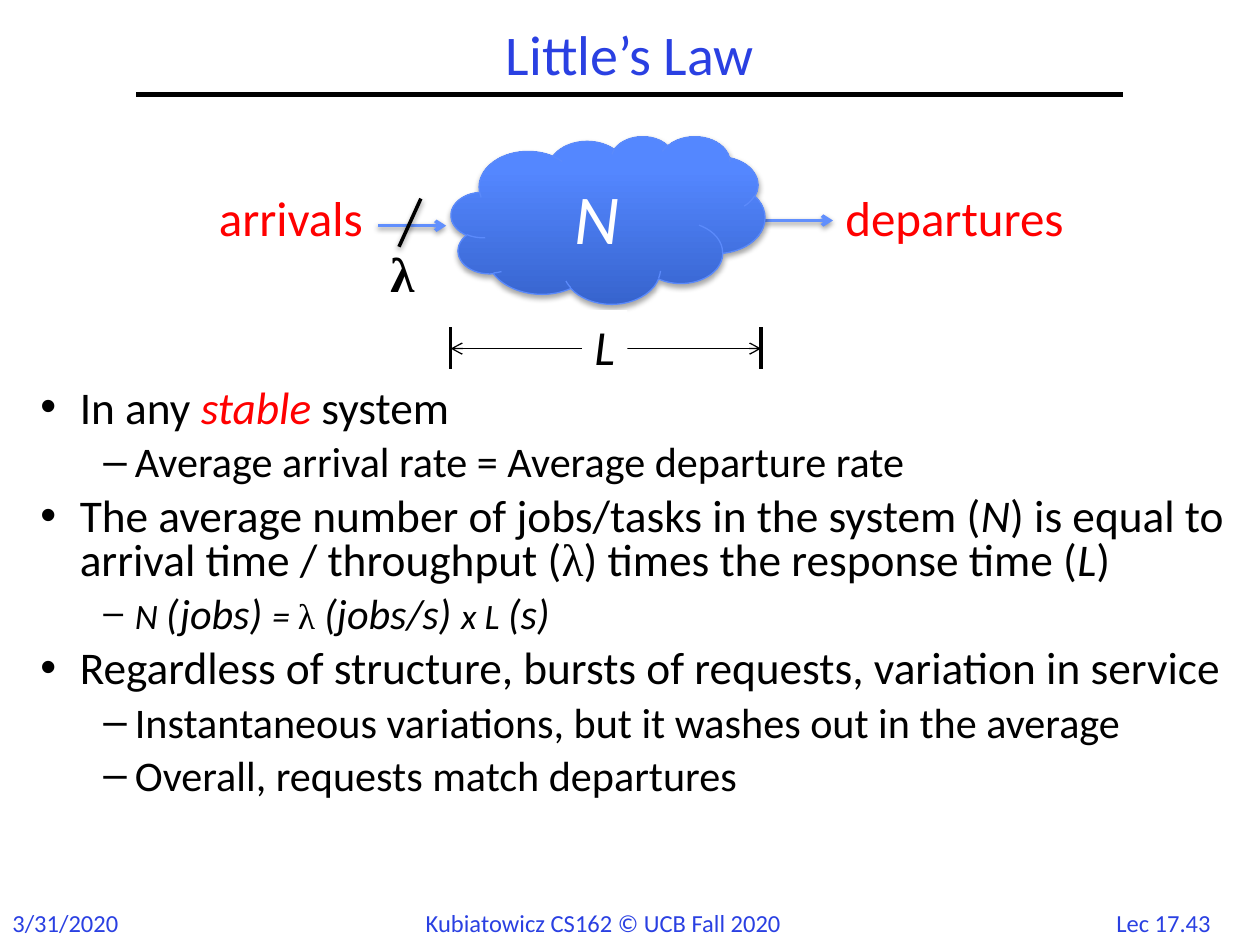
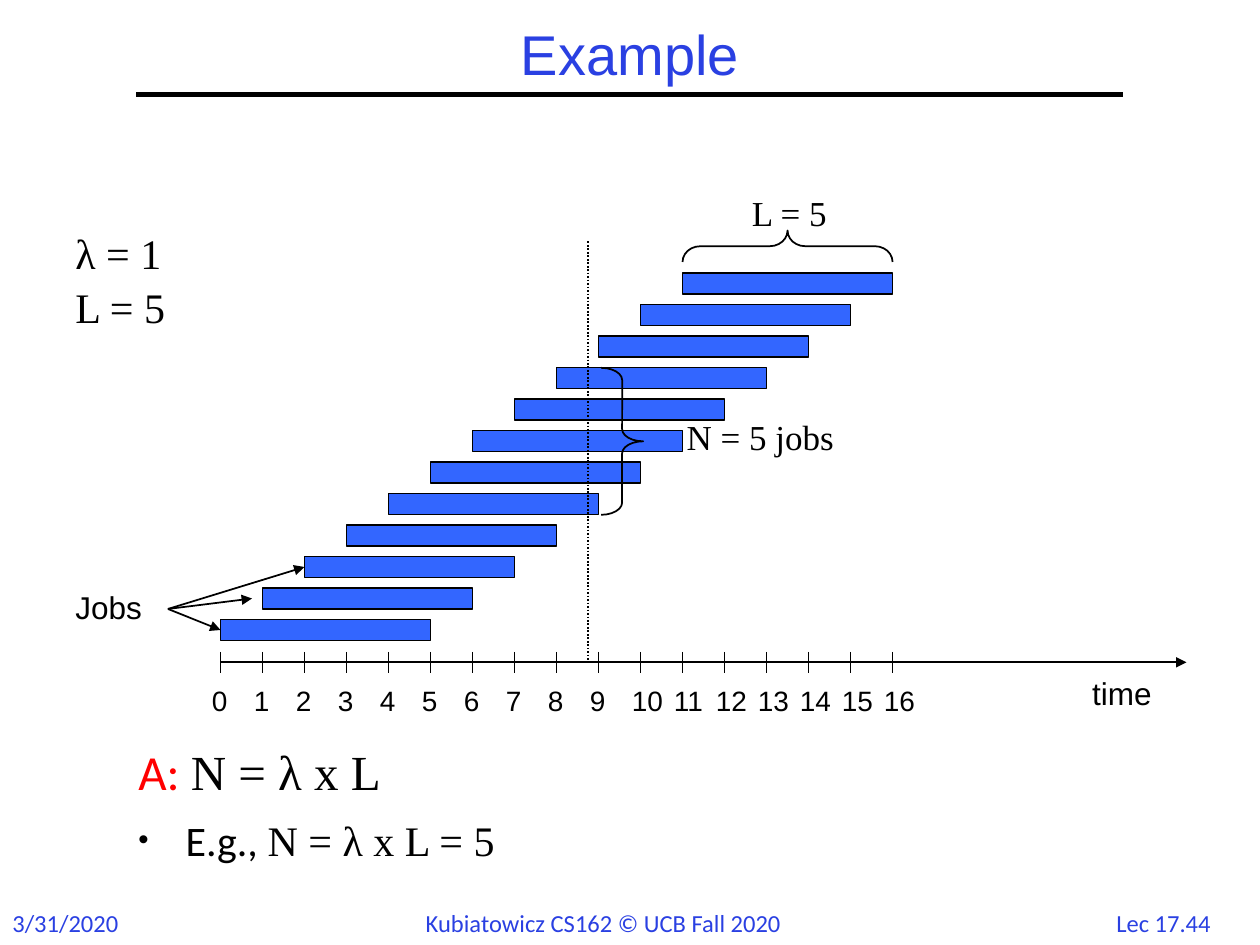
"""Build two lecture slides on Little's Law: the statement and a worked timeline."""
from lxml import etree
from pptx import Presentation
from pptx.dml.color import RGBColor
from pptx.enum.dml import MSO_LINE
from pptx.enum.shapes import MSO_CONNECTOR, MSO_SHAPE
from pptx.enum.text import MSO_ANCHOR, PP_ALIGN
from pptx.oxml.ns import qn
from pptx.util import Pt

STRAIGHT = MSO_CONNECTOR.STRAIGHT
RECTANGLE, CLOUD = MSO_SHAPE.RECTANGLE, MSO_SHAPE.CLOUD
LEFT_BRACE, RIGHT_BRACE = MSO_SHAPE.LEFT_BRACE, MSO_SHAPE.RIGHT_BRACE
DOTTED = MSO_LINE.ROUND_DOT
MIDDLE, CENTER = MSO_ANCHOR.MIDDLE, PP_ALIGN.CENTER

SANS, ARIAL, SERIF = "Calibri", "Arial", "Times New Roman"
BLACK, WHITE, RED, BLUE = "000000", "FFFFFF", "FF0000", "2A40E2"
BAR_BLUE, ARROW_BLUE, CLOUD_LINE = "3366FF", "618FFD", "5B8AFB"
CLOUD_DARK, CLOUD_LIGHT = "3764CE", "5487FF"
LINE_SHADOW, CLOUD_SHADOW = (38, 3.1, 1.6), (35, 3.1, 1.8)

FOOTERS = [
    ("3/31/2020", (0, 515.5, 77, 24.5)),
    ("Kubiatowicz CS162 © UCB Fall 2020", (236.2, 515.5, 247, 24.5)),
]
LECTURE_BOX = (627.8, 515.5, 74.2, 24)

SERIF_RUN = {"name": SERIF, "italic": False}
ITALIC = {"italic": True}
SMALL = {"size": 20.4}
LAW_POINTS = [
    (0, ["In any ", ("stable ", {"color": RED, "italic": True}), "system"]),
    (1, ["Average arrival rate = Average departure rate"]),
    (0, ["The average number of jobs/tasks in the system (", ("N", ITALIC),
         ") is equal to arrival time / throughput (", ("λ", SERIF_RUN),
         ") times the response time (", ("L", ITALIC), ")"]),
    (1, [("N ", SMALL | ITALIC), ("(jobs) ", ITALIC), ("= ", SMALL | ITALIC),
         ("λ ", SMALL | SERIF_RUN), ("(jobs/s) ", ITALIC),
         ("x L ", SMALL | ITALIC), ("(s)", ITALIC)]),
    (0, ["Regardless of structure, bursts of requests, variation in service"]),
    (1, ["Instantaneous variations, but it washes out in the average"]),
    (1, ["Overall, requests match departures"]),
]
LEVELS = [
    {"size": 25.9, "bullet": "•", "indent": (22.5, -22.5)},
    {"size": 24.1, "bullet": "–", "indent": (54, -18)},
]
SYSTEM_LABELS = [
    ("arrivals", (118, 103.7, 96.5, 41), {"color": RED}),
    ("departures", (476, 103.7, 139, 41), {"color": RED}),
    ("λ", (216, 135.4, 31.7, 41), {"name": SERIF, "bold": True}),
]

AXIS_LEFT, AXIS_Y, TIME_STEP, LAST_TIME = 126, 378.5, 24, 16
JOB_COUNT, JOB_LENGTH, JOB_HEIGHT, JOB_STEP, FIRST_JOB_TOP = 12, 5, 12, 18, 354
JOB_POINTER = (96, 348)
JOB_POINTER_ENDS = [(126, 360), (144, 342), (174, 324)]
EXAMPLE_LABELS = [
    ("time", (617, 381.6, 48.2, 29), {"size": 18, "name": ARIAL}),
    ("Jobs", (36, 332.6, 53.3, 29), {"size": 18, "name": ARIAL}),
    ("L = 5", (422.6, 105.8, 57.6, 31), {"size": 20, "name": SERIF}),
    ("N = 5 jobs", (385.2, 234, 101.5, 31), {"size": 20, "name": SERIF}),
]
BRACES = [
    (LEFT_BRACE, (441, 80.7, 18, 120), 90, 0.56),
    (RIGHT_BRACE, (343.5, 210.2, 24, 84), 0, 0.29),
]


def color_of(value):
    return RGBColor.from_string(value)


def points(values):
    return [Pt(value) for value in values]


def set_effects(shape, shadow=None):
    effects = etree.SubElement(shape._element.spPr, qn("a:effectLst"))
    if shadow:
        opacity, blur, distance = shadow
        outer = etree.SubElement(effects, qn("a:outerShdw"), blurRad=str(Pt(blur)),
                                 dist=str(Pt(distance)), dir="5400000", rotWithShape="0")
        shade = etree.SubElement(outer, qn("a:srgbClr"), val=BLACK)
        etree.SubElement(shade, qn("a:alpha"), val=str(opacity * 1000))


def style_font(font, size=None, color=None, name=None, bold=None, italic=None):
    if size:
        font.size = Pt(size)
    if color:
        font.color.rgb = color_of(color)
    if name:
        font.name = name
    if bold is not None:
        font.bold = bold
    if italic is not None:
        font.italic = italic


def write_paragraph(paragraph, runs, bullet=None, bullet_size=100, indent=(0, 0),
                    before=0, spacing=None, align=None, **style):
    if align is not None:
        paragraph.alignment = align
    if spacing:
        paragraph.line_spacing = spacing
    if before:
        paragraph.space_before = Pt(before)
    if bullet:
        properties = paragraph._p.get_or_add_pPr()
        properties.set("marL", str(Pt(indent[0])))
        properties.set("indent", str(Pt(indent[1])))
        etree.SubElement(properties, qn("a:buSzPct"), val=str(bullet_size * 1000))
        etree.SubElement(properties, qn("a:buFont"), typeface=ARIAL)
        etree.SubElement(properties, qn("a:buChar"), char=bullet)
    style_font(paragraph.font, **({"color": BLACK, "name": SANS} | style))
    for item in runs:
        text, changes = (item, {}) if isinstance(item, str) else item
        run = paragraph.add_run()
        run.text = text
        style_font(run.font, **changes)


def add_text(slide, box, paragraphs, wrap=True, anchor=None):
    shape = slide.shapes.add_textbox(*points(box))
    frame = shape.text_frame
    frame.word_wrap = wrap
    if anchor is not None:
        frame.vertical_anchor = anchor
    for index, (runs, style) in enumerate(paragraphs):
        paragraph = frame.add_paragraph() if index else frame.paragraphs[0]
        write_paragraph(paragraph, runs, **style)
    return shape


def add_label(slide, text, box, **style):
    return add_text(slide, box, [([text], style)], wrap=False)


def add_line(slide, start, end, color=BLACK, width=1, head=None, tail=None,
             dash=None, shadow=None):
    connector = slide.shapes.add_connector(STRAIGHT, *points(start + end))
    connector.line.color.rgb = color_of(color)
    connector.line.width = Pt(width)
    if dash:
        connector.line.dash_style = dash
    for tag, kind in (("a:headEnd", head), ("a:tailEnd", tail)):
        if kind:
            etree.SubElement(connector.line._get_or_add_ln(), qn(tag), type=kind)
    set_effects(connector, shadow)


def add_outlined_shape(slide, kind, box, line=BLACK, width=1, fill=None, shadow=None):
    shape = slide.shapes.add_shape(kind, *points(box))
    if fill:
        shape.fill.solid()
        shape.fill.fore_color.rgb = color_of(fill)
    else:
        shape.fill.background()
    shape.line.color.rgb = color_of(line)
    shape.line.width = Pt(width)
    set_effects(shape, shadow)
    return shape


def add_base_slide(presentation, title, lecture, title_font=SANS):
    slide = presentation.slides.add_slide(presentation.slide_layouts[6])
    for text, box in FOOTERS:
        add_label(slide, text, box, size=14, color=BLUE)
    add_label(slide, lecture, LECTURE_BOX, size=14, color=BLUE, align=CENTER)
    add_line(slide, (78, 54), (642, 54), width=3)
    title_style = {"size": 32, "color": BLUE, "name": title_font,
                   "align": CENTER, "spacing": 0.9}
    add_text(slide, (78, 12, 564, 42), [([title], title_style)], anchor=MIDDLE)
    return slide


def add_cloud(slide):
    cloud = add_outlined_shape(slide, CLOUD, (257.8, 77.8, 179.3, 95.8),
                               CLOUD_LINE, 0.75, shadow=CLOUD_SHADOW)
    cloud.fill.gradient()
    cloud.fill.gradient_angle = 90
    stops = cloud.fill.gradient_stops
    for stop, position, color in zip(stops, (0, 0.8), (CLOUD_DARK, CLOUD_LIGHT)):
        stop.position = position
        stop.color.rgb = color_of(color)
    cloud.text_frame.vertical_anchor = MIDDLE
    write_paragraph(cloud.text_frame.paragraphs[0], ["N"], size=40, color=WHITE,
                    italic=True, align=CENTER)


def build_law(presentation):
    slide = add_base_slide(presentation, "Little’s Law", "Lec 17.43")
    body = [(runs, LEVELS[level] | {"spacing": 0.8, "before": 7 if index else 0})
            for index, (level, runs) in enumerate(LAW_POINTS)]
    add_text(slide, (16, 219, 722, 309), body)
    for left, y in ((216, 129), (437, 126)):
        add_line(slide, (left, y), (left + 39, y), ARROW_BLUE, 2,
                 tail="arrow", shadow=LINE_SHADOW)
    add_cloud(slide)
    add_line(slide, (240.5, 113.5), (228, 141), width=2, shadow=LINE_SHADOW)
    for text, box, style in SYSTEM_LABELS:
        add_label(slide, text, box, size=28, **style)
    left, right, y = 257.5, 435, 199.2
    add_line(slide, (left, y), (right, y), width=0.75, head="arrow", tail="arrow")
    for x in (left, right):
        add_line(slide, (x, 187), (x, 211), width=2)
    length = add_label(slide, "L", (332.6, 177.2, 26, 41), size=28, italic=True)
    length.fill.solid()
    length.fill.fore_color.rgb = color_of(WHITE)


def build_example(presentation):
    slide = add_base_slide(presentation, "Example", "Lec 17.44", ARIAL)
    given = {"size": 24, "name": SERIF, "spacing": 0.8}
    add_text(slide, (36, 132, 110, 62),
             [(["λ = 1"], given), (["L = 5"], given | {"before": 8})])

    add_line(slide, (AXIS_LEFT, AXIS_Y), (678, AXIS_Y), tail="triangle")
    for time in range(LAST_TIME + 1):
        x = AXIS_LEFT + time * TIME_STEP
        add_line(slide, (x, AXIS_Y - 6), (x, AXIS_Y + 6))
        width = 23 if time < 10 else 32.4
        add_label(slide, str(time), (x - 12, 387.3, width, 26.6), size=16, name=ARIAL)
    for job in range(JOB_COUNT):
        box = (AXIS_LEFT + job * TIME_STEP, FIRST_JOB_TOP - job * JOB_STEP,
               JOB_LENGTH * TIME_STEP, JOB_HEIGHT)
        add_outlined_shape(slide, RECTANGLE, box, fill=BAR_BLUE)

    add_line(slide, (336, 138), (336, 378), dash=DOTTED)
    for end in JOB_POINTER_ENDS:
        add_line(slide, JOB_POINTER, end, tail="triangle")
    for kind, box, rotation, curve in BRACES:
        brace = add_outlined_shape(slide, kind, box)
        brace.rotation = rotation
        brace.adjustments[0] = curve
    for text, box, style in EXAMPLE_LABELS:
        add_label(slide, text, box, **style)

    answer = [
        ([("A: ", {"color": RED}), ("N = λ x L", SERIF_RUN)], {"size": 28}),
        (["E.g., ", ("N = λ x L = 5", SERIF_RUN)],
         {"size": 24, "bullet": "•", "bullet_size": 70, "indent": (27, -27), "before": 8}),
    ]
    add_text(slide, (72, 420, 612, 108), answer)


def main():
    presentation = Presentation()
    presentation.slide_width, presentation.slide_height = Pt(720), Pt(540)
    build_law(presentation)
    build_example(presentation)
    presentation.save("out.pptx")


if __name__ == "__main__":
    main()
